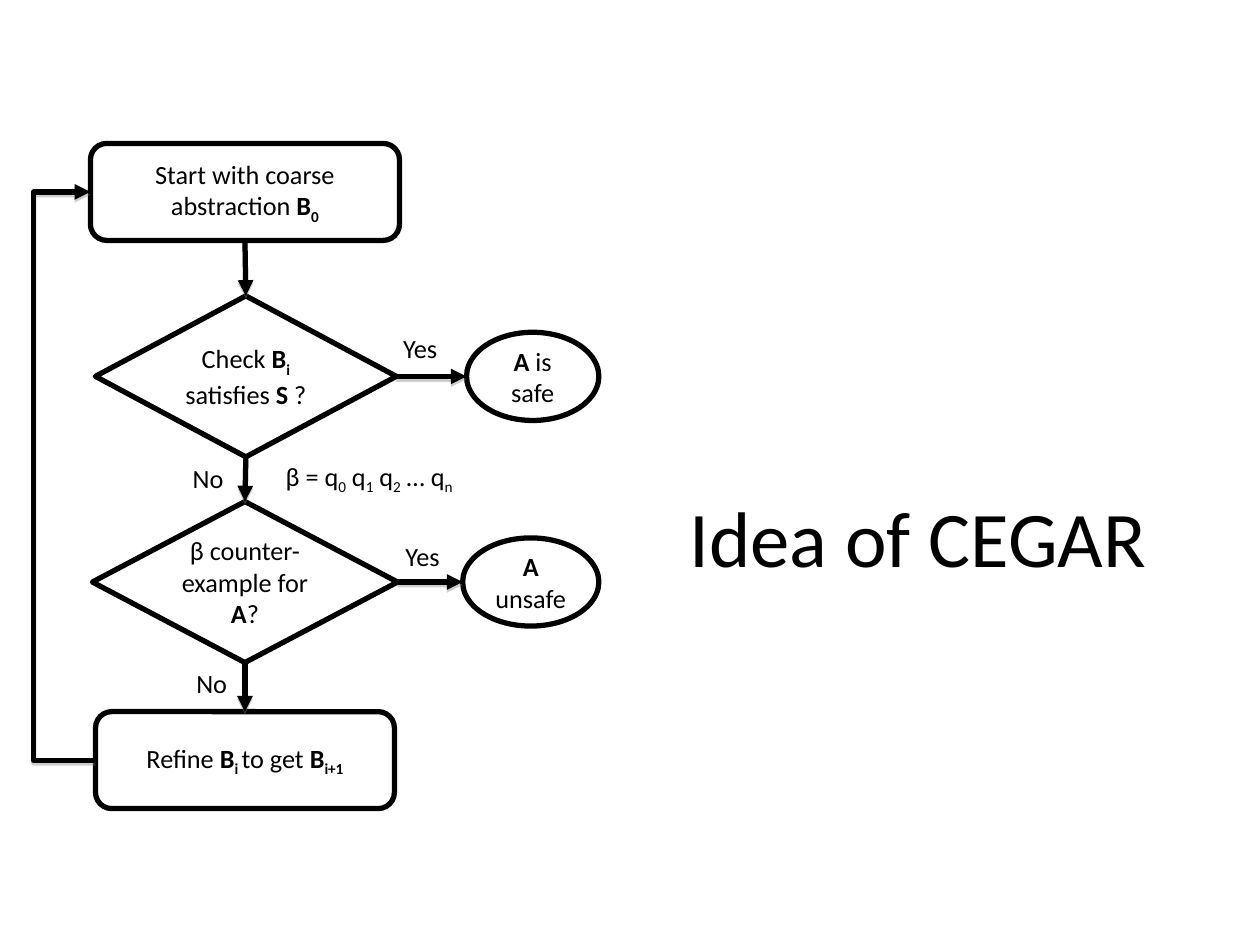
from lxml import etree
from pptx import Presentation
from pptx.dml.color import RGBColor
from pptx.enum.shapes import MSO_CONNECTOR, MSO_SHAPE
from pptx.enum.text import MSO_ANCHOR, MSO_AUTO_SIZE, PP_ALIGN
from pptx.oxml.ns import qn
from pptx.util import Pt

BOX, DIAMOND, OVAL = MSO_SHAPE.ROUNDED_RECTANGLE, MSO_SHAPE.DIAMOND, MSO_SHAPE.OVAL
STRAIGHT, ELBOW = MSO_CONNECTOR.STRAIGHT, MSO_CONNECTOR.ELBOW
CENTER, LEFT = PP_ALIGN.CENTER, PP_ALIGN.LEFT
MIDDLE, BOTTOM, UPPER = MSO_ANCHOR.MIDDLE, MSO_ANCHOR.BOTTOM, MSO_ANCHOR.TOP
FIT_SHAPE = MSO_AUTO_SIZE.SHAPE_TO_FIT_TEXT
TOP_SIDE, LEFT_SIDE, BOTTOM_SIDE, RIGHT_SIDE = range(4)

THEME = {
    "ink": RGBColor(0, 0, 0), "paper": RGBColor(255, 255, 255), "shadow": "808080",
    "font": "Calibri", "body": 15, "title": 45, "line": 3,
}

PLAIN, BOLD, SUB, BOLD_SUB = (False, False), (True, False), (False, True), (True, True)

# name: (outline, centre x, centre y, width, height, runs)
STEPS = {
    "start": (BOX, 140, 109.7, 176.6, 55.4,
              [("Start with coarse abstraction ", PLAIN), ("B", BOLD), ("0", BOLD_SUB)]),
    "check": (DIAMOND, 140.5, 215.1, 172, 92,
              [("Check ", PLAIN), ("B", BOLD), ("i", BOLD_SUB), (" satisfies ", PLAIN),
               ("S ", BOLD), ("?", PLAIN)]),
    "counterexample": (DIAMOND, 140, 332.6, 174.4, 92,
                       [("β counter-example for ", PLAIN), ("A", BOLD), ("?", PLAIN)]),
    "refine": (BOX, 140, 434.4, 170.8, 55.4,
               [("Refine ", PLAIN), ("B", BOLD), ("i ", BOLD_SUB), ("to get ", PLAIN),
                ("B", BOLD), ("i+1", BOLD_SUB)]),
    "safe": (OVAL, 304.4, 215.1, 75.6, 50.4, [("A", BOLD), (" is safe", PLAIN)]),
    "unsafe": (OVAL, 303.3, 332.6, 77.8, 50.4, [("A", BOLD), (" unsafe", PLAIN)]),
}
DOWN_FLOWS = [("start", "check"), ("check", "counterexample"), ("counterexample", "refine")]
VERDICT_FLOWS = [("check", "safe"), ("counterexample", "unsafe")]
LOOP_X = 19.2

LABELS = [
    (156.2, 259.2, 113.8, [("β = q", PLAIN), ("0", SUB), (" q", PLAIN), ("1", SUB),
                           (" q", PLAIN), ("2", SUB), (" … q", PLAIN), ("n", SUB)]),
    (223.2, 186.5, 34.6, [("Yes", PLAIN)]),
    (224.6, 305.3, 34.6, [("Yes", PLAIN)]),
    (103, 260.6, 32.4, [("No", PLAIN)]),
    (105.1, 378, 32.4, [("No", PLAIN)]),
]
LABEL_HEIGHT = 25.2
TITLE = (378.7, 168.5, 291.6, 168.5, [("Idea of CEGAR", PLAIN)])


def apply(target, values):
    """Set every named attribute on the target."""
    for name, value in values.items():
        setattr(target, name, value)


def write(shape, runs, size, align, frame_format):
    """Fill a shape with one paragraph of styled runs."""
    apply(shape.text_frame, frame_format)
    paragraph = shape.text_frame.paragraphs[0]
    paragraph.alignment = align
    for text, (bold, subscript) in runs:
        run = paragraph.add_run()
        run.text = text
        apply(run.font, {"name": THEME["font"], "size": Pt(size), "bold": bold})
        run.font.color.rgb = THEME["ink"]
        if subscript:
            run._r.get_or_add_rPr().set("baseline", "-25000")
    return paragraph


def add_step(slide, outline, center_x, center_y, width, height, runs):
    """Draw one outlined step of the flowchart."""
    step = slide.shapes.add_shape(outline, Pt(center_x - width / 2), Pt(center_y - height / 2),
                                  Pt(width), Pt(height))
    step.shadow.inherit = False
    step.fill.solid()
    step.fill.fore_color.rgb = THEME["paper"]
    step.line.color.rgb = THEME["ink"]
    step.line.width = Pt(THEME["line"])
    write(step, runs, THEME["body"], CENTER, {"word_wrap": True, "vertical_anchor": MIDDLE})
    return step


def add_flow(slide, kind, source, source_side, end):
    """Draw a shadowed arrow from a side of a step to a point."""
    flow = slide.shapes.add_connector(kind, 0, 0, *end)
    flow.begin_connect(source, source_side)
    flow.line.color.rgb = THEME["ink"]
    flow.line.width = Pt(THEME["line"])
    etree.SubElement(flow.line._get_or_add_ln(), qn("a:tailEnd"), type="triangle")
    effects = etree.SubElement(flow._element.spPr, qn("a:effectLst"))
    shadow = etree.SubElement(effects, qn("a:outerShdw"), blurRad="0", dist=str(Pt(1.6)),
                              dir="5400000", rotWithShape="0")
    color = etree.SubElement(shadow, qn("a:srgbClr"), val=THEME["shadow"])
    etree.SubElement(color, qn("a:alpha"), val="38000")
    return flow


def add_loop(slide, source, target):
    """Lead the last step back to the first along the left gutter."""
    loop = add_flow(slide, ELBOW, source, LEFT_SIDE, (0, 0))
    loop.end_connect(target, LEFT_SIDE)
    bend = round((loop.begin_x - Pt(LOOP_X)) / (loop.begin_x - loop.end_x) * 100000)
    guides = loop._element.spPr.find(qn("a:prstGeom")).get_or_add_avLst()
    etree.SubElement(guides, qn("a:gd"), name="adj1", fmla=f"val {bend}")


def main():
    """Build the CEGAR flowchart slide."""
    deck = Presentation()
    apply(deck, {"slide_width": Pt(720), "slide_height": Pt(540)})
    slide = deck.slides.add_slide(deck.slide_layouts[6])

    steps = {name: add_step(slide, *step) for name, step in STEPS.items()}
    add_loop(slide, steps["refine"], steps["start"])
    for source, target in DOWN_FLOWS:
        flow = add_flow(slide, STRAIGHT, steps[source], BOTTOM_SIDE, (0, 0))
        flow.end_connect(steps[target], TOP_SIDE)
    for source, target in VERDICT_FLOWS:
        verdict = steps[target]
        add_flow(slide, STRAIGHT, steps[source], RIGHT_SIDE,
                 (verdict.left, verdict.top + verdict.height // 2))

    for left, top, width, runs in LABELS:
        label = slide.shapes.add_textbox(Pt(left), Pt(top), Pt(width), Pt(LABEL_HEIGHT))
        write(label, runs, THEME["body"], LEFT,
              {"word_wrap": False, "auto_size": FIT_SHAPE, "vertical_anchor": UPPER})

    *place, runs = TITLE
    title = slide.shapes.add_textbox(*map(Pt, place))
    heading = write(title, runs, THEME["title"], CENTER, {
        "word_wrap": True, "vertical_anchor": BOTTOM, "margin_left": Pt(5.4),
        "margin_right": Pt(5.4), "margin_top": Pt(2.7), "margin_bottom": Pt(2.7)})
    heading.line_spacing = 0.9

    deck.save("out.pptx")


if __name__ == "__main__":
    main()
